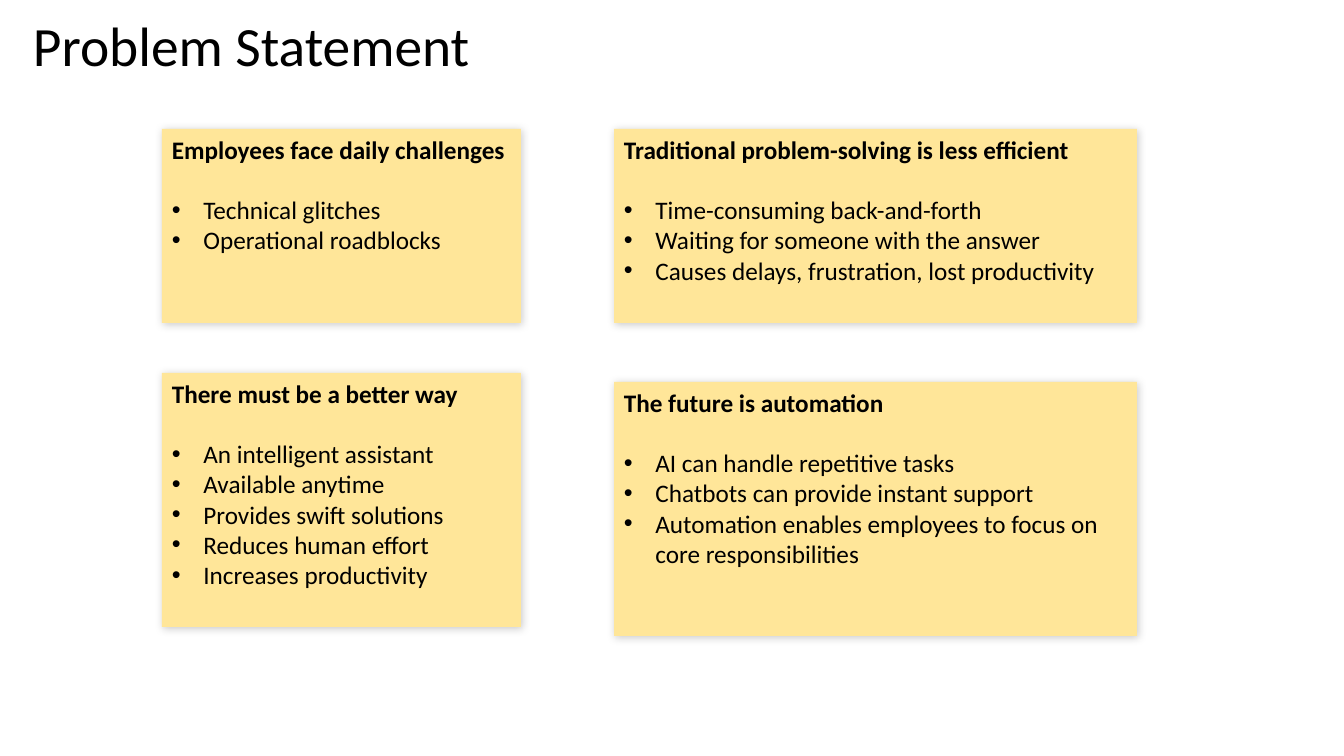
from lxml import etree
from pptx import Presentation
from pptx import util as u
from pptx.dml.color import RGBColor
from pptx.enum import shapes, text
from pptx.oxml.ns import qn

PIXEL = 914400 / 100.8
FONT = "Calibri"
INK = RGBColor(0x00, 0x00, 0x00)
NOTE_FILL = RGBColor(0xFF, 0xE6, 0x99)

LEFT_COLUMN, RIGHT_COLUMN = (162, 359), (614, 523)
SHORT, TALL = 194, 254
NOTES = [
    (LEFT_COLUMN, 129, SHORT, "Employees face daily challenges",
     ["Technical glitches", "Operational roadblocks"]),
    (RIGHT_COLUMN, 129, SHORT, "Traditional problem-solving is less efficient",
     ["Time-consuming back-and-forth", "Waiting for someone with the answer",
      "Causes delays, frustration, lost productivity"]),
    (LEFT_COLUMN, 373, TALL, "There must be a better way",
     ["An intelligent assistant", "Available anytime", "Provides swift solutions",
      "Reduces human effort", "Increases productivity"]),
    (RIGHT_COLUMN, 382, TALL, "The future is automation",
     ["AI can handle repetitive tasks", "Chatbots can provide instant support",
      "Automation enables employees to focus on core responsibilities"]),
]


def emu(pixels):
    return u.Emu(round(pixels * PIXEL))


def write(paragraph, words, size, bold=False):
    paragraph.text = words
    paragraph.alignment = text.PP_ALIGN.LEFT
    font = paragraph.runs[0].font
    font.name, font.size, font.bold = FONT, u.Pt(size), bold
    font.color.rgb = INK


def add_bullet(paragraph):
    properties = paragraph._p.get_or_add_pPr()
    indent = emu(31.5)
    properties.set("marL", str(indent))
    properties.set("indent", str(-indent))
    etree.SubElement(properties, qn("a:buFont"), typeface="Arial")
    etree.SubElement(properties, qn("a:buChar"), char="•")


def add_soft_shadow(note):
    note.shadow.inherit = False
    effects = note._element.spPr.find(qn("a:effectLst"))
    shadow = etree.SubElement(effects, qn("a:outerShdw"), blurRad=str(u.Pt(6)),
                              dist=str(u.Pt(1)), dir="2700000", algn="tl", rotWithShape="0")
    tint = etree.SubElement(shadow, qn("a:srgbClr"), val=str(INK))
    etree.SubElement(tint, qn("a:alpha"), val="20000")


def add_heading(slide, box, words):
    heading = slide.shapes.add_textbox(*map(emu, box))
    frame = heading.text_frame
    frame.word_wrap = True
    frame.vertical_anchor = text.MSO_ANCHOR.MIDDLE
    write(frame.paragraphs[0], words, 39.6)
    frame.paragraphs[0].line_spacing = 0.9


def add_note(slide, box, headline, points):
    note = slide.shapes.add_shape(shapes.MSO_SHAPE.RECTANGLE, *map(emu, box))
    note.fill.solid()
    note.fill.fore_color.rgb = NOTE_FILL
    note.line.fill.background()
    add_soft_shadow(note)
    frame = note.text_frame
    frame.word_wrap = True
    frame.vertical_anchor = text.MSO_ANCHOR.TOP
    write(frame.paragraphs[0], headline, 18, bold=True)
    frame.paragraphs[0].space_after = u.Pt(21.6)
    for point in points:
        paragraph = frame.add_paragraph()
        write(paragraph, point, 18)
        add_bullet(paragraph)


def build_problem_statement(deck):
    slide = deck.slides.add_slide(deck.slide_layouts[6])
    add_heading(slide, (23, 11, 1159, 76), "Problem Statement")
    for (left, width), top, height, headline, points in NOTES:
        add_note(slide, (left, top, width, height), headline, points)


deck = Presentation()
deck.slide_width, deck.slide_height = emu(1344), emu(756)
build_problem_statement(deck)
deck.save("out.pptx")
